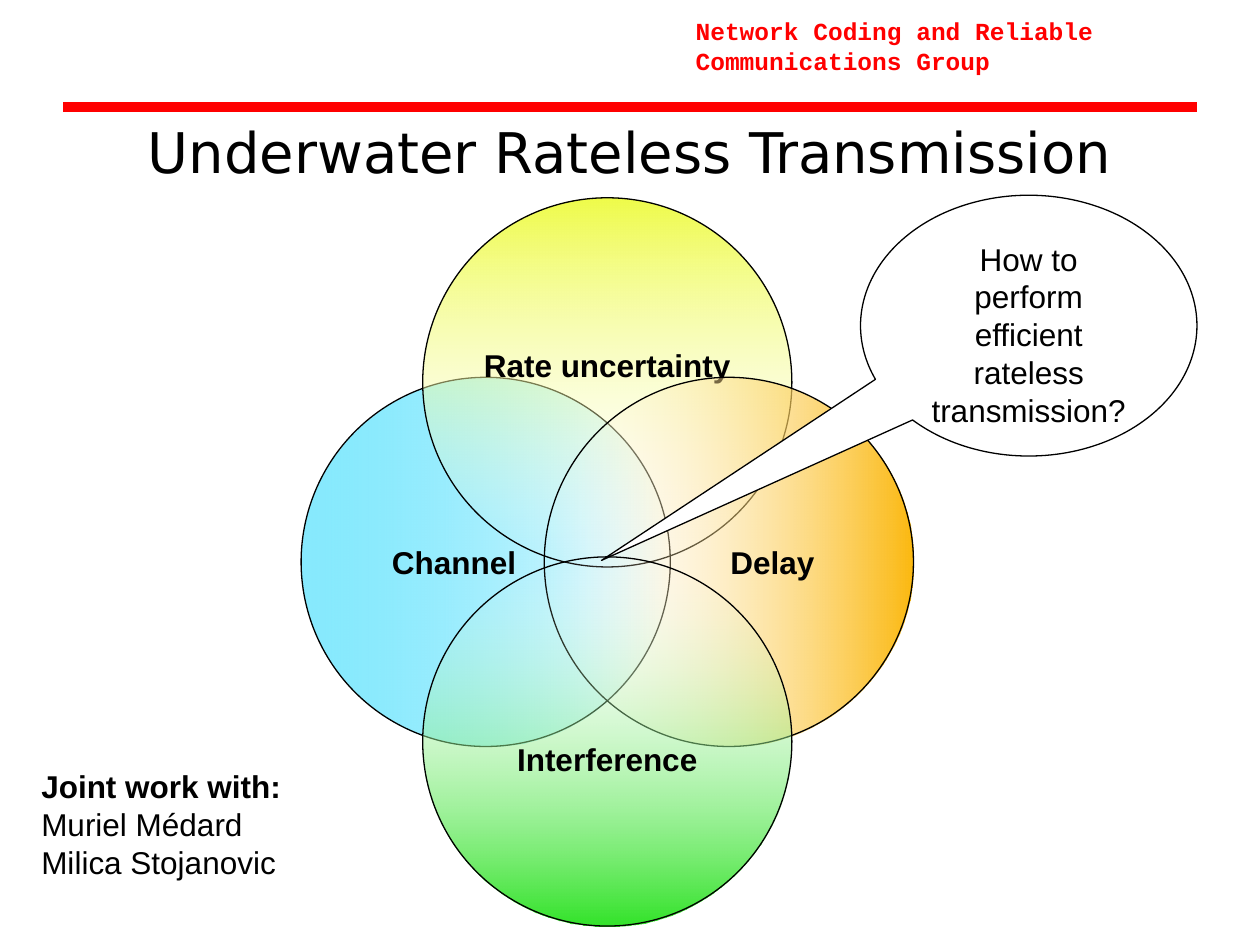
from collections import namedtuple

from lxml import etree
from pptx import Presentation
from pptx.dml.color import RGBColor
from pptx.enum.shapes import MSO_CONNECTOR as Connector, MSO_SHAPE as Preset
from pptx.enum.text import MSO_ANCHOR as Anchor, PP_ALIGN as Align
from pptx.oxml.ns import qn
from pptx.util import Inches, Pt

Box = namedtuple("Box", "left top width height")
Circle = namedtuple("Circle", "label column row stops angle insets")

SLIDE = Box(0, 0, 10, 7.5)
COLORS = {
    "black": "000000", "white": "FFFFFF", "red": "FF0000", "cyan": "0FD5FD",
    "yellow": "EFFC4A", "orange": "FCB910", "green": "32E329",
}
DIAMETER = 2.93
INSETS = (0.1, 0.05, 0.1, 0.05)
CIRCLES = [
    Circle("Channel", 0, 0.5, [("white", 100), ("cyan", 50)], 180, (0.1, 0.05, 0.6, 0.05)),
    Circle("Rate uncertainty", 0.5, 0, [("yellow", 100), ("white", 0)], 270, (0.1, 0.05, 0.1, 0.32)),
    Circle("Delay", 1, 0.5, [("orange", 100), ("white", 0)], 180, (0.79, 0.05, 0.1, 0.05)),
    Circle("Interference", 0.5, 1, [("white", 0), ("green", 100)], 270, (0.1, 0.32, 0.1, 0.05)),
]


def color(name):
    return RGBColor.from_string(COLORS[name])


def inches(box):
    return [Inches(length) for length in box]


def write(shape, text, size=18, font="Arial", ink="black", bold_lines=0,
          align=Align.LEFT, anchor=Anchor.TOP, wrap=True, insets=INSETS):
    frame = shape.text_frame
    frame.word_wrap = wrap
    frame.vertical_anchor = anchor
    (frame.margin_left, frame.margin_top,
     frame.margin_right, frame.margin_bottom) = inches(insets)
    frame.text = text
    for index, paragraph in enumerate(frame.paragraphs):
        paragraph.alignment = align
        for run in paragraph.runs:
            run.font.name = font
            run.font.size = Pt(size)
            run.font.bold = index < bold_lines
            run.font.color.rgb = color(ink)


def add_outlined(slide, preset, box):
    shape = slide.shapes.add_shape(preset, *inches(box))
    shape.shadow.inherit = False
    shape.line.color.rgb = color("black")
    shape.line.width = Pt(0.75)
    return shape


def fill_gradient(shape, stops, angle):
    shape.fill.gradient()
    shape.fill.gradient_angle = angle
    for stop, position, (name, opacity) in zip(shape.fill.gradient_stops, (0, 1), stops):
        stop.position = position
        stop.color.rgb = color(name)
    for element, (_, opacity) in zip(shape.element.spPr.iter(qn("a:srgbClr")), stops):
        if opacity < 100:
            etree.SubElement(element, qn("a:alpha")).set("val", str(opacity * 1000))


def add_header(slide, box):
    group = Box(box.left + box.width * 0.547, 0.08, box.width * 0.453, 0.57)
    write(slide.shapes.add_textbox(*inches(group)),
          "Network Coding and Reliable Communications Group",
          size=14, font="Courier New", ink="red", bold_lines=1)
    bottom = box.top + box.height
    rule = slide.shapes.add_connector(
        Connector.STRAIGHT, *inches((box.left, bottom, box.left + box.width, bottom)))
    rule.line.color.rgb = color("red")
    rule.line.width = Pt(6)
    etree.SubElement(rule.element.spPr, qn("a:effectLst"))


def add_title(slide, box):
    write(slide.shapes.add_textbox(*inches(box)), "Underwater Rateless Transmission",
          size=32, font="DejaVu Sans", align=Align.CENTER, anchor=Anchor.MIDDLE)


def add_circles(slide, box):
    for circle in CIRCLES:
        left = box.left + circle.column * (box.width - DIAMETER)
        top = box.top + circle.row * (box.height - DIAMETER)
        shape = add_outlined(slide, Preset.OVAL, Box(left, top, DIAMETER, DIAMETER))
        fill_gradient(shape, circle.stops, circle.angle)
        write(shape, circle.label, bold_lines=1, align=Align.CENTER,
              anchor=Anchor.MIDDLE, wrap=False, insets=circle.insets)


def add_callout(slide, box):
    callout = add_outlined(slide, Preset.OVAL_CALLOUT, box)
    callout.fill.solid()
    callout.fill.fore_color.rgb = color("white")
    callout.adjustments[0] = -1.27
    callout.adjustments[1] = 0.9
    write(callout, "How to perform efficient rateless transmission?", align=Align.CENTER)


def add_credits(slide, box):
    write(slide.shapes.add_textbox(*inches(box)),
          "Joint work with:\nMuriel Médard\nMilica Stojanovic", bold_lines=1, wrap=False)


def main():
    presentation = Presentation()
    presentation.slide_width = Inches(SLIDE.width)
    presentation.slide_height = Inches(SLIDE.height)
    slide = presentation.slides.add_slide(presentation.slide_layouts[6])
    margin = SLIDE.width * 0.05
    content_width = SLIDE.width - 2 * margin
    add_header(slide, Box(margin, 0, content_width, 0.85))
    add_title(slide, Box(margin, 0.85, content_width, 0.7))
    add_circles(slide, Box(2.39, 1.57, 4.86, 5.78))
    add_callout(slide, Box(6.83, 1.55, 2.67, 2.07))
    add_credits(slide, Box(0.23, 6.04, 2.17, 1))
    presentation.save("out.pptx")


if __name__ == "__main__":
    main()
